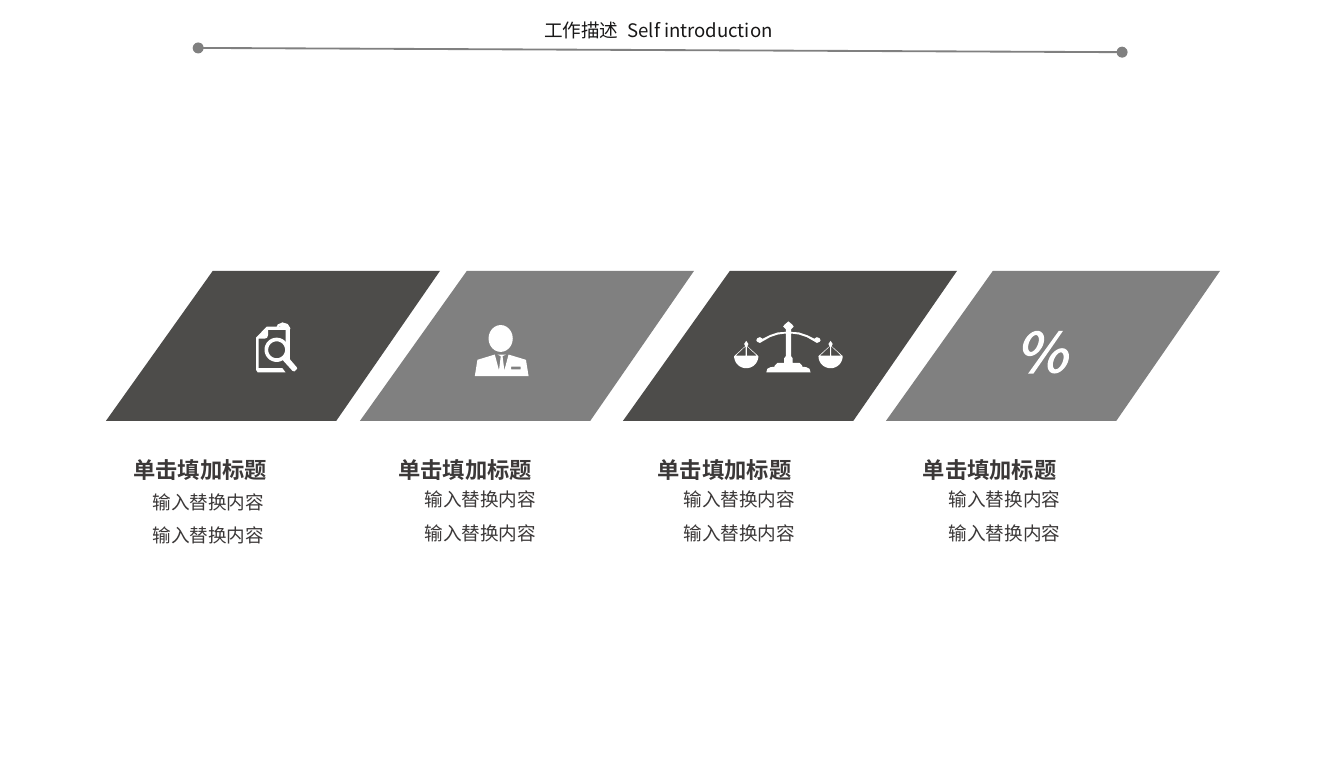
from dataclasses import dataclass
from math import cos, pi, sin

from lxml.etree import SubElement
from pptx import Presentation
from pptx.dml.color import RGBColor
from pptx.enum.shapes import MSO_CONNECTOR, MSO_SHAPE
from pptx.enum.text import MSO_AUTO_SIZE, PP_ALIGN
from pptx.oxml.ns import qn
from pptx.util import Cm, Pt

FONT = "Noto Sans CJK SC"
DARK, GREY, WHITE = "4D4C4A", "808080", "FFFFFF"
INK, TEXT = "181717", "3B3838"

Point = tuple[float, float]
Contour = list[Point]


@dataclass
class Topic:
    tile_left: float
    title_left: float
    detail_left: float
    detail_top: float
    color: str


@dataclass
class TextStyle:
    size: float
    color: str
    bold: bool = False
    align: PP_ALIGN | None = None
    space_before: float = 0
    line_spacing: float | None = None
    margins: bool = True
    wrap: bool = True


TOPICS = [
    Topic(2.01, 2.06, 1.22, 9.19, DARK),
    Topic(6.83, 7.09, 6.38, 9.14, GREY),
    Topic(11.82, 12.01, 11.3, 9.14, DARK),
    Topic(16.81, 17.04, 16.33, 9.14, GREY),
]
HEADER = TextStyle(10, INK, wrap=False)
TITLE = TextStyle(12, TEXT, bold=True, align=PP_ALIGN.CENTER, space_before=3,
                  line_spacing=1.2, margins=False)
DETAIL = TextStyle(10, TEXT, align=PP_ALIGN.CENTER, space_before=6)


def rgb(color: str) -> RGBColor:
    return RGBColor.from_string(color)


def paint(shape, color: str) -> None:
    shape.shadow.inherit = False
    shape.fill.solid()
    shape.fill.fore_color.rgb = rgb(color)
    shape.line.fill.background()


def mirror(half: Contour) -> Contour:
    """Close a right-hand half outline with its reflection about x = 0."""
    return half + [(-x, y) for x, y in reversed(half)]


def oval(x: float, y: float, rx: float, ry: float, slant: float = 0) -> Contour:
    angles = [2 * pi * step / 40 for step in range(40)]
    return [(x + rx * cos(a) - slant * ry * sin(a), y + ry * sin(a)) for a in angles]


def add_outline(page, left: float, top: float, contours: list[Contour], color: str) -> None:
    """Draw one filled shape; inner contours become holes."""
    placed = [[(Cm(left + x), Cm(top + y)) for x, y in contour] for contour in contours]
    builder = page.shapes.build_freeform(*placed[0][0], scale=1.0)
    for index, contour in enumerate(placed):
        if index:
            builder.move_to(*contour[0])
        builder.add_line_segments(contour[1:], close=True)
    paint(builder.convert_to_shape(), color)


def add_text(page, left: float, top: float, width: float, height: float,
             lines: list[str], style: TextStyle) -> None:
    box = page.shapes.add_textbox(Cm(left), Cm(top), Cm(width), Cm(height))
    frame = box.text_frame
    frame.word_wrap = style.wrap
    frame.auto_size = MSO_AUTO_SIZE.SHAPE_TO_FIT_TEXT
    if not style.margins:
        frame.margin_left = frame.margin_right = frame.margin_top = frame.margin_bottom = 0
    for index, line in enumerate(lines):
        para = frame.add_paragraph() if index else frame.paragraphs[0]
        para.alignment = style.align
        para.space_before = Pt(style.space_before)
        para.line_spacing = style.line_spacing
        span = para.add_run()
        span.text = line
        span.font.size = Pt(style.size)
        span.font.bold = style.bold
        span.font.color.rgb = rgb(style.color)
        span.font.name = FONT
        SubElement(span.font._element, qn("a:ea"), typeface=FONT)


def add_header(page) -> None:
    rule = page.shapes.add_connector(
        MSO_CONNECTOR.STRAIGHT, Cm(3.76), Cm(0.91), Cm(21.29), Cm(0.99))
    rule.line.color.rgb = rgb(GREY)
    rule.line.width = Pt(1)
    line = rule.line._get_or_add_ln()
    for end in ("a:headEnd", "a:tailEnd"):
        SubElement(line, qn(end), type="oval")
    SubElement(rule._element.spPr, qn("a:effectLst"))
    add_text(page, 10.08, 0.23, 1.93, 0.69, ["工作描述"], HEADER)
    add_text(page, 11.66, 0.23, 3.35, 0.69, ["Self introduction"], HEADER)


def add_topic(page, topic: Topic) -> None:
    tile = [(4.37, 2.85), (6.34, 0), (2.03, 0), (0, 2.85)]
    add_outline(page, topic.tile_left, 5.14, [tile], topic.color)
    add_text(page, topic.detail_left, topic.detail_top, 5.46, 1.32,
             ["输入替换内容"] * 2, DETAIL)
    add_text(page, topic.title_left, 8.56, 3.48, 0.58, ["单击填加标题"], TITLE)


def add_document_icon(page) -> None:
    sheet = [(0.5, 0.89), (0.05, 0.89), (0.05, 0.33), (0.16, 0.33), (0.21, 0.31),
             (0.23, 0.25), (0.23, 0.16), (0.56, 0.16), (0.56, 0.66), (0.64, 0.73),
             (0.64, 0.13), (0.6, 0.1), (0.2, 0.1), (0, 0.31), (0, 0.92),
             (0.03, 0.97), (0.56, 0.97)]
    lens = [oval(0.39, 0.54, 0.23, 0.23), oval(0.39, 0.54, 0.16, 0.16)]
    handle = [(0.5, 0.73), (0.69, 0.94), (0.73, 0.95), (0.78, 0.9), (0.77, 0.87),
              (0.59, 0.66)]
    clip = [(0.38, 0.13), (0.41, 0.06), (0.5, 0.02), (0.6, 0.05), (0.65, 0.13),
            (0.63, 0.2), (0.56, 0.12), (0.44, 0.1)]
    for contours in ([sheet], lens, [handle], [clip]):
        add_outline(page, 4.86, 6.1, contours, WHITE)


def add_person_icon(page) -> None:
    suit = mirror([(0.08, 0), (0.02, 0.03), (0.02, 0.05), (0.05, 0.3), (0.13, 0),
                   (0.46, 0.1), (0.51, 0.41)])
    pocket = [(0.18, 0.23), (0.36, 0.23), (0.36, 0.28), (0.18, 0.28)]
    add_outline(page, 9.52, 6.73, [suit, pocket], WHITE)
    head = page.shapes.add_shape(MSO_SHAPE.OVAL, Cm(9.27), Cm(6.17), Cm(0.46), Cm(0.51))
    paint(head, WHITE)


def add_scales_icon(page) -> None:
    center, top = 14.96, 6.1
    stand = mirror([
        (0, 0), (0.07, 0.06), (0.1, 0.1), (0.05, 0.15), (0.05, 0.2), (0.2, 0.21),
        (0.35, 0.26), (0.49, 0.33), (0.54, 0.3), (0.59, 0.32), (0.61, 0.36),
        (0.59, 0.39), (0.54, 0.41), (0.49, 0.38), (0.35, 0.3), (0.2, 0.25),
        (0.05, 0.23), (0.05, 0.66), (0.08, 0.7), (0.08, 0.79), (0.21, 0.79),
        (0.26, 0.84), (0.26, 0.86), (0.34, 0.87), (0.4, 0.9), (0.42, 0.97)])
    add_outline(page, center, top, [stand], WHITE)

    bowl = [(0.23 * cos(pi * step / 20), 0.66 + 0.23 * sin(pi * step / 20))
            for step in range(11)]
    pan = mirror([(0, 0.37), (0.04, 0.43), (0.02, 0.47)] + bowl)
    gap = [(0.01, 0.47), (0.2, 0.65), (0.01, 0.65)]
    other_gap = [(-x, y) for x, y in gap]
    for side in (-1, 1):
        add_outline(page, center + side * 0.8, top, [pan, gap, other_gap], WHITE)


def add_percent_icon(page) -> None:
    slash = [(0.1, 0.81), (0.68, 0), (0.76, 0), (0.2, 0.81)]
    contours = [slash]
    for x, y in ((0.2, 0.24), (0.67, 0.57)):
        contours += [oval(x, y, 0.19, 0.24, 0.3), oval(x, y, 0.09, 0.16, 0.3)]
    add_outline(page, 19.41, 6.28, contours, WHITE)


def main() -> None:
    deck = Presentation()
    deck.slide_width, deck.slide_height = Cm(25.5), Cm(14.5)
    page = deck.slides.add_slide(deck.slide_layouts[6])
    add_header(page)
    for topic in TOPICS:
        add_topic(page, topic)
    for add_icon in (add_document_icon, add_person_icon, add_scales_icon, add_percent_icon):
        add_icon(page)
    deck.save("out.pptx")


if __name__ == "__main__":
    main()
